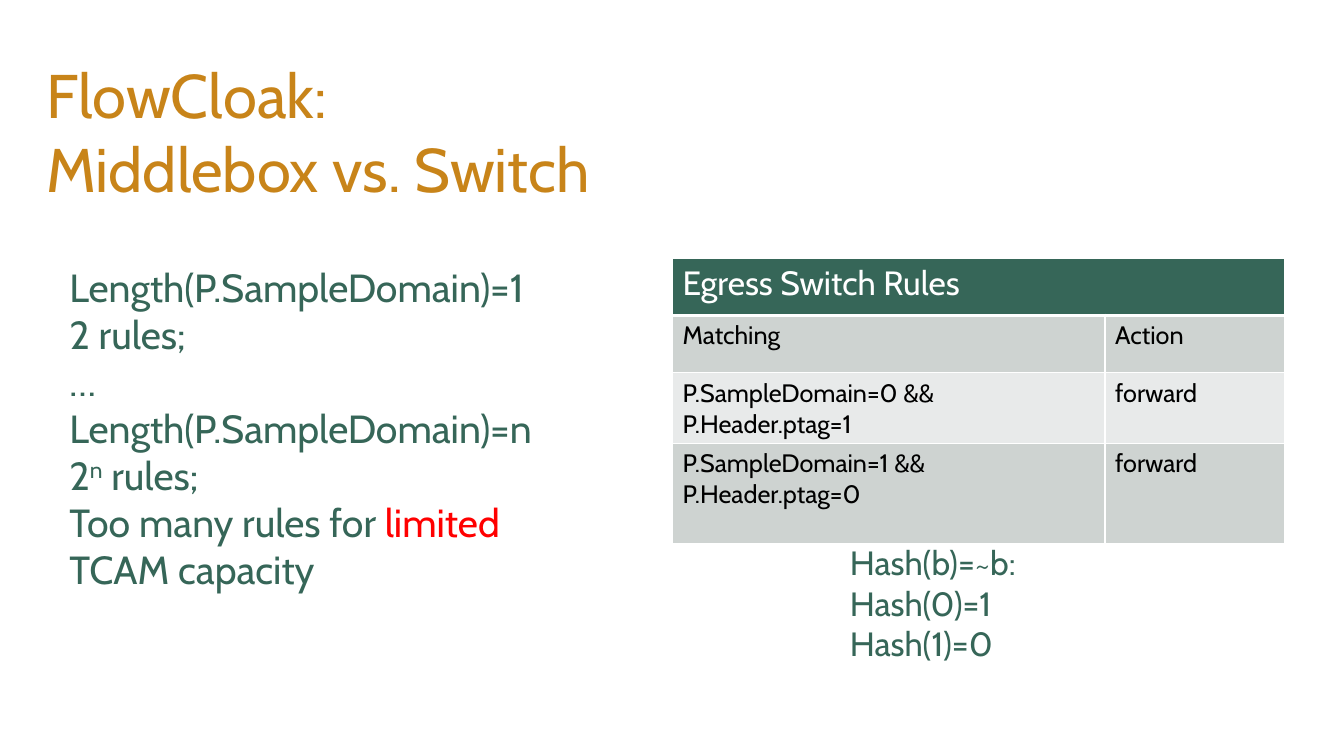
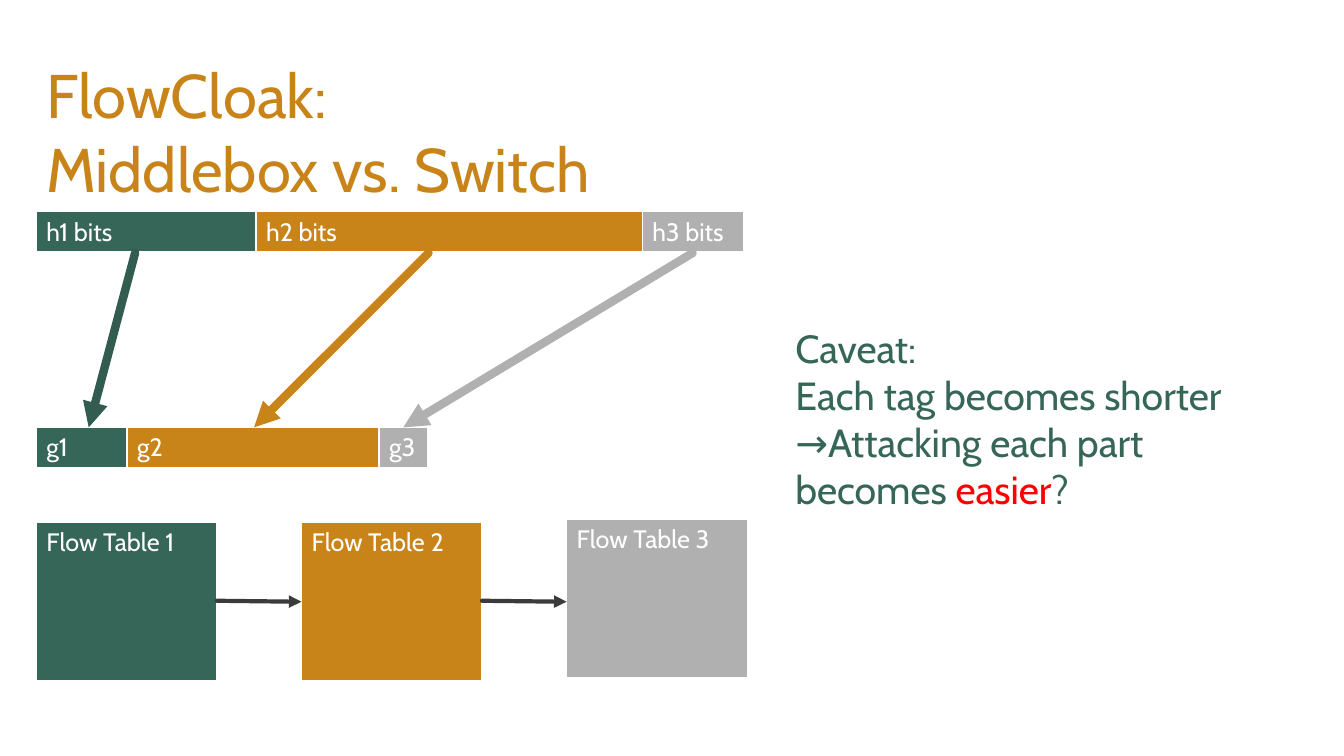
from itertools import product

from lxml import etree
from pptx import Presentation
from pptx.dml.color import RGBColor
from pptx.enum.shapes import MSO_CONNECTOR as Connector
from pptx.enum.text import MSO_AUTO_SIZE as AutoSize
from pptx.oxml.ns import qn
from pptx.util import Inches, Pt

# Shared style
FONT = "Cabin"
GREEN, GOLD, GRAY = PARTS = ("366658", "C88419", "B0B0B0")
WHITE, BLACK, RED, CHARCOAL = "FFFFFF", "000000", "FF0000", "3B3B3B"
DARK_GREEN = "315C4F"
PALE, PALER = "CED3D1", "E8EAEA"
BORDERS = {"lnL": 1, "lnR": 1, "lnT": 1, "lnB": 1}
HEADER_BORDERS = {**BORDERS, "lnB": 3}
BOX_FORMAT = {"word_wrap": True, "auto_size": AutoSize.SHAPE_TO_FIT_TEXT}
TABLE_FORMAT = {"first_row": False, "horz_banding": False}

# Content: a paragraph is a list of (text, format) runs
TITLE = ["FlowCloak:", "Middlebox vs. Switch"]
RULE_COUNTS = [
    "Length(P.SampleDomain)=1",
    "2 rules;",
    "…",
    "Length(P.SampleDomain)=n",
    [("2", {}), ("n", {"baseline": 30000}), (" rules;", {})],
    [("Too many rules for ", {}), ("limited", {"color": RED}), (" TCAM capacity", {})],
]
HASH_LINES = ["Hash(b)=~b:", "Hash(0)=1", "Hash(1)=0"]
RULES_HEADER = "Egress Switch Rules"
RULES = [
    ("Matching", "Action"),
    ("P.SampleDomain=0 && P.Header.ptag=1", "forward"),
    ("P.SampleDomain=1 && P.Header.ptag=0", "forward"),
]
CAVEAT = [
    "Caveat:",
    "Each tag becomes shorter",
    [("→Attacking each part becomes ", {}), ("easier", {"color": RED}), ("?", {})],
]
LEFT, BAND_HEIGHT = 0.36, 0.41
HEADER_TOP, TAG_TOP = 2.1, 4.24
BANDS = [
    (HEADER_TOP, ["h1 bits", "h2 bits", "h3 bits"], [2.18, 3.83, 1.01]),
    (TAG_TOP, ["g1", "g2", "g3"], [0.9, 2.5, 0.48]),
]
HASH_ARROWS = [(1.34, 0.88, DARK_GREEN), (4.25, 2.52, GOLD), (6.87, 4.0, GRAY)]
FLOW_TABLES = [("Flow Table 1", 5.18), ("Flow Table 2", 5.18), ("Flow Table 3", 5.15)]
FLOW_WIDTH, FLOW_HEIGHT, FLOW_STEP = 1.79, 1.58, 2.63


def rgb(color):
    return RGBColor.from_string(color)


def set_format(target, values):
    for name, value in values.items():
        setattr(target, name, value)


def write(frame, paragraphs, size, color):
    for index, content in enumerate(paragraphs):
        paragraph = frame.add_paragraph() if index else frame.paragraphs[0]
        runs = [(content, {})] if isinstance(content, str) else content
        for text, values in runs:
            run = paragraph.add_run()
            run.text = text
            set_format(run.font, {"name": FONT, "size": Pt(size)})
            run.font.color.rgb = rgb(values.get("color", color))
            if "baseline" in values:
                run.font._element.set("baseline", str(values["baseline"]))


def add_text(slide, box, paragraphs, size, color=GREEN):
    frame = slide.shapes.add_textbox(*map(Inches, box)).text_frame
    set_format(frame, BOX_FORMAT)
    write(frame, paragraphs, size, color)


def add_grid(slide, left, top, widths, heights):
    size = sum(widths), sum(heights)
    table = slide.shapes.add_table(
        len(heights), len(widths), *map(Inches, (left, top, *size))
    ).table
    set_format(table, TABLE_FORMAT)
    for column, width in zip(table.columns, widths):
        column.width = Inches(width)
    for row, height in zip(table.rows, heights):
        row.height = Inches(height)
    return table


def style_cell(cell, text, fill, size=18, color=WHITE, borders=HEADER_BORDERS):
    write(cell.text_frame, [text], size, color)
    cell.fill.solid()
    cell.fill.fore_color.rgb = rgb(fill)
    properties = cell._tc.get_or_add_tcPr()
    for index, (tag, width) in enumerate(borders.items()):
        border = etree.Element(qn(f"a:{tag}"), w=str(Pt(width)))
        solid = etree.SubElement(border, qn("a:solidFill"))
        etree.SubElement(solid, qn("a:srgbClr"), val=WHITE)
        properties.insert(index, border)


def add_band(slide, left, top, height, labels, widths, fills):
    table = add_grid(slide, left, top, widths, [height])
    for cell, label, fill in zip(table.rows[0].cells, labels, fills):
        style_cell(cell, label, fill)


def add_arrow(slide, start, end, color, width):
    arrow = slide.shapes.add_connector(Connector.STRAIGHT, *map(Inches, start + end))
    arrow.line.width = Pt(width)
    arrow.line.color.rgb = rgb(color)
    line = arrow.line._get_or_add_ln()
    line.set("cap", "rnd")
    etree.SubElement(line, qn("a:tailEnd"), type="triangle")
    etree.SubElement(arrow._element.spPr, qn("a:effectLst"))


def add_titled_slide(presentation):
    slide = presentation.slides.add_slide(presentation.slide_layouts[6])
    add_text(slide, (LEFT, 0.52, 7.99, 1.58), TITLE, 44, GOLD)
    return slide


def build_rules_slide(presentation):
    slide = add_titled_slide(presentation)
    add_text(slide, (8.33, 5.33, 2.64, 1.31), HASH_LINES, 24)

    # Egress rules under a merged header
    table = add_grid(slide, 6.67, 2.56, [4.29, 1.78], [0.57, 0.57, 0.7, 0.99])
    table.cell(0, 0).merge(table.cell(0, 1))
    style_cell(table.cell(0, 0), RULES_HEADER, GREEN, size=24)
    for row, column in product(range(len(RULES)), range(2)):
        fill = PALER if row % 2 else PALE
        borders = BORDERS if row else {**BORDERS, "lnT": 3}
        style_cell(table.cell(row + 1, column), RULES[row][column], fill,
                   color=BLACK, borders=borders)

    add_text(slide, (0.59, 2.56, 5.5, 3.4), RULE_COUNTS, 28)


def build_split_slide(presentation):
    slide = add_titled_slide(presentation)

    # Header bits hashed into tag parts
    for top, labels, widths in BANDS:
        add_band(slide, LEFT, top, BAND_HEIGHT, labels, widths, PARTS)
    for start, end, color in HASH_ARROWS:
        add_arrow(slide, (start, HEADER_TOP + BAND_HEIGHT), (end, TAG_TOP), color, 6)

    # Chain of flow tables
    for index, (label, top) in enumerate(FLOW_TABLES):
        left = LEFT + index * FLOW_STEP
        add_band(slide, left, top, FLOW_HEIGHT, [label], [FLOW_WIDTH], [PARTS[index]])
        if index:
            previous_right = left - FLOW_STEP + FLOW_WIDTH
            add_arrow(slide, (previous_right, 5.96), (left, 5.97), CHARCOAL, 3)

    add_text(slide, (7.79, 3.17, 4.82, 1.99), CAVEAT, 28)


def main():
    presentation = Presentation()
    set_format(presentation, {"slide_width": Inches(13.33), "slide_height": Inches(7.5)})
    build_rules_slide(presentation)
    build_split_slide(presentation)
    presentation.save("out.pptx")


if __name__ == "__main__":
    main()
